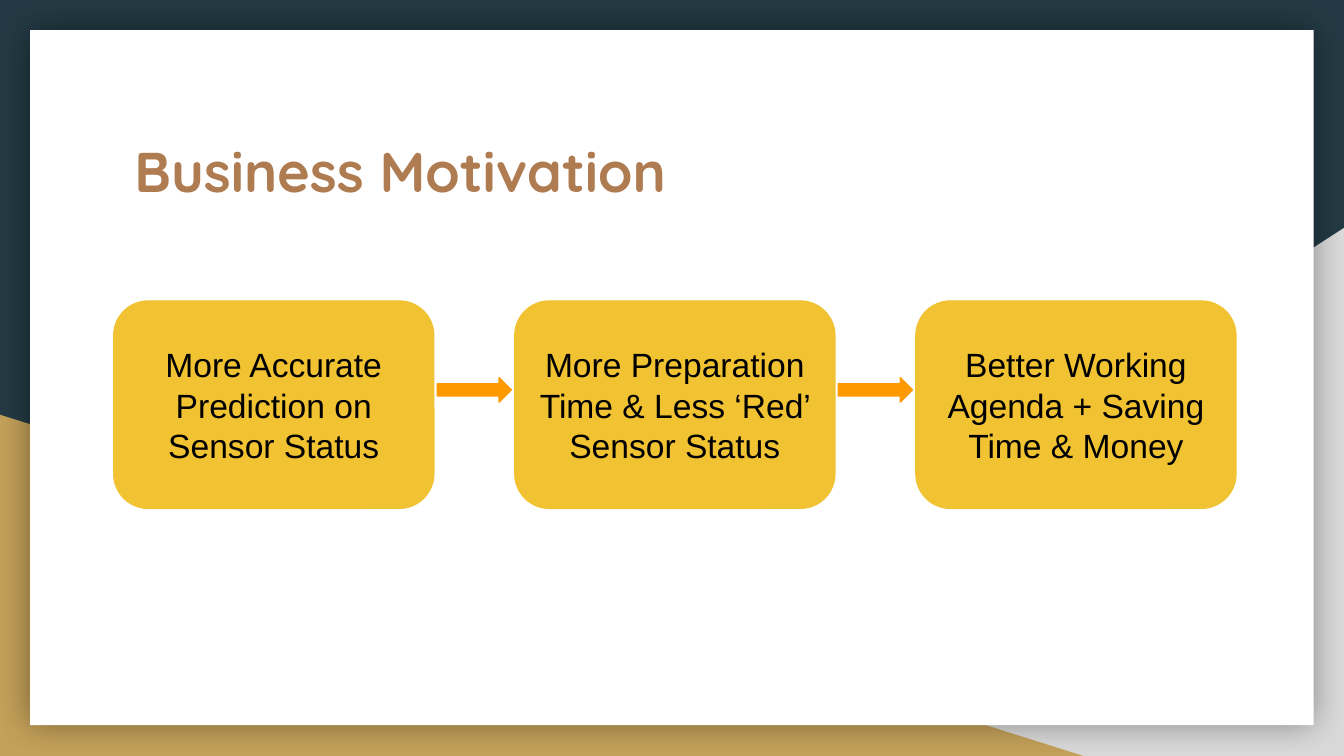
from lxml import etree
from pptx import Presentation
from pptx.dml.color import RGBColor
from pptx.enum.shapes import MSO_SHAPE
from pptx.enum.text import MSO_ANCHOR, PP_ALIGN
from pptx.oxml.ns import qn
from pptx.util import Cm, Pt

TRIANGLE = MSO_SHAPE.RIGHT_TRIANGLE
RECT = MSO_SHAPE.RECTANGLE
ROUNDED = MSO_SHAPE.ROUNDED_RECTANGLE
ARROW = MSO_SHAPE.RIGHT_ARROW
CENTER, LEFT = PP_ALIGN.CENTER, PP_ALIGN.LEFT
TOP, MIDDLE = MSO_ANCHOR.TOP, MSO_ANCHOR.MIDDLE

COLORS = {
    "navy": "233A44", "grey": "D9D9D9", "sand": "C4A15A", "white": "FFFFFF",
    "brown": "AF7B51", "yellow": "F1C232", "orange": "FF9900", "black": "000000",
}
STEPS = [
    "More Accurate Prediction on Sensor Status",
    "More Preparation Time & Less ‘Red’ Sensor Status",
    "Better Working Agenda + Saving Time & Money",
]


def add_block(kind, left, top, width, height, color, outlined=False):
    """Add a filled shape, measured in cm, without shadow."""
    sp = s.shapes.add_shape(kind, Cm(left), Cm(top), Cm(width), Cm(height))
    sp.shadow.inherit = False
    sp.fill.solid()
    sp.fill.fore_color.rgb = RGBColor.from_string(COLORS[color])
    if outlined:
        sp.line.color.rgb = RGBColor.from_string(COLORS[color])
        sp.line.width = Pt(0.75)
    else:
        sp.line.fill.background()
    return sp


def write(sp, text, font, size, color, bold, align, anchor):
    tf = sp.text_frame
    tf.word_wrap = True
    tf.vertical_anchor = anchor
    tf.margin_left = tf.margin_right = tf.margin_top = tf.margin_bottom = Cm(0.25)
    p = tf.paragraphs[0]
    p.alignment = align
    r = p.add_run()
    r.text = text
    r.font.name = font
    r.font.size = Pt(size)
    r.font.bold = bold
    r.font.color.rgb = RGBColor.from_string(COLORS[color])


prs = Presentation()
prs.slide_width, prs.slide_height = Cm(25.4), Cm(14.29)
s = prs.slides.add_slide(prs.slide_layouts[5])
s.background.fill.solid()
s.background.fill.fore_color.rgb = RGBColor.from_string(COLORS["navy"])

# Backdrop: two corner triangles under a white card with a soft shadow
corner = add_block(TRIANGLE, 9.96, 4.31, 15.44, 9.98, "grey")
corner.element.spPr.find(qn("a:xfrm")).set("flipH", "1")
add_block(TRIANGLE, 0, 7.84, 20.48, 6.45, "sand")
card = add_block(RECT, 0.57, 0.57, 24.26, 13.14, "white")
effects = card.element.spPr.find(qn("a:effectLst"))
shadow = etree.SubElement(effects, qn("a:outerShdw"), blurRad=str(Pt(18)), dist="0",
                          algn="ctr", rotWithShape="0")
shade = etree.SubElement(shadow, qn("a:srgbClr"), val=COLORS["black"])
etree.SubElement(shade, qn("a:alpha"), val="40000")

# Title, brought in front of the card
title = s.shapes.title
title.left, title.top, title.width, title.height = Cm(2.29), Cm(2.34), Cm(20.85), Cm(2.64)
write(title, "Business Motivation", "Quicksand", 30, "brown", True, LEFT, TOP)
title.element.getparent().append(title.element)

# Three steps with an arrow in each gap
first_left, step_width, pitch = 2.15, 6.05, 7.58
arrow_width = 1.4
for i, text in enumerate(STEPS):
    left = first_left + i * pitch
    box = add_block(ROUNDED, left, 5.69, step_width, 3.92, "yellow", outlined=True)
    write(box, text, "Arial", 18, "black", False, CENTER, MIDDLE)
    if i < len(STEPS) - 1:
        gap = pitch - step_width
        arrow_left = left + step_width + (gap - arrow_width) / 2
        add_block(ARROW, arrow_left, 7.14, arrow_width, 0.46, "orange", outlined=True)

prs.save("out.pptx")
